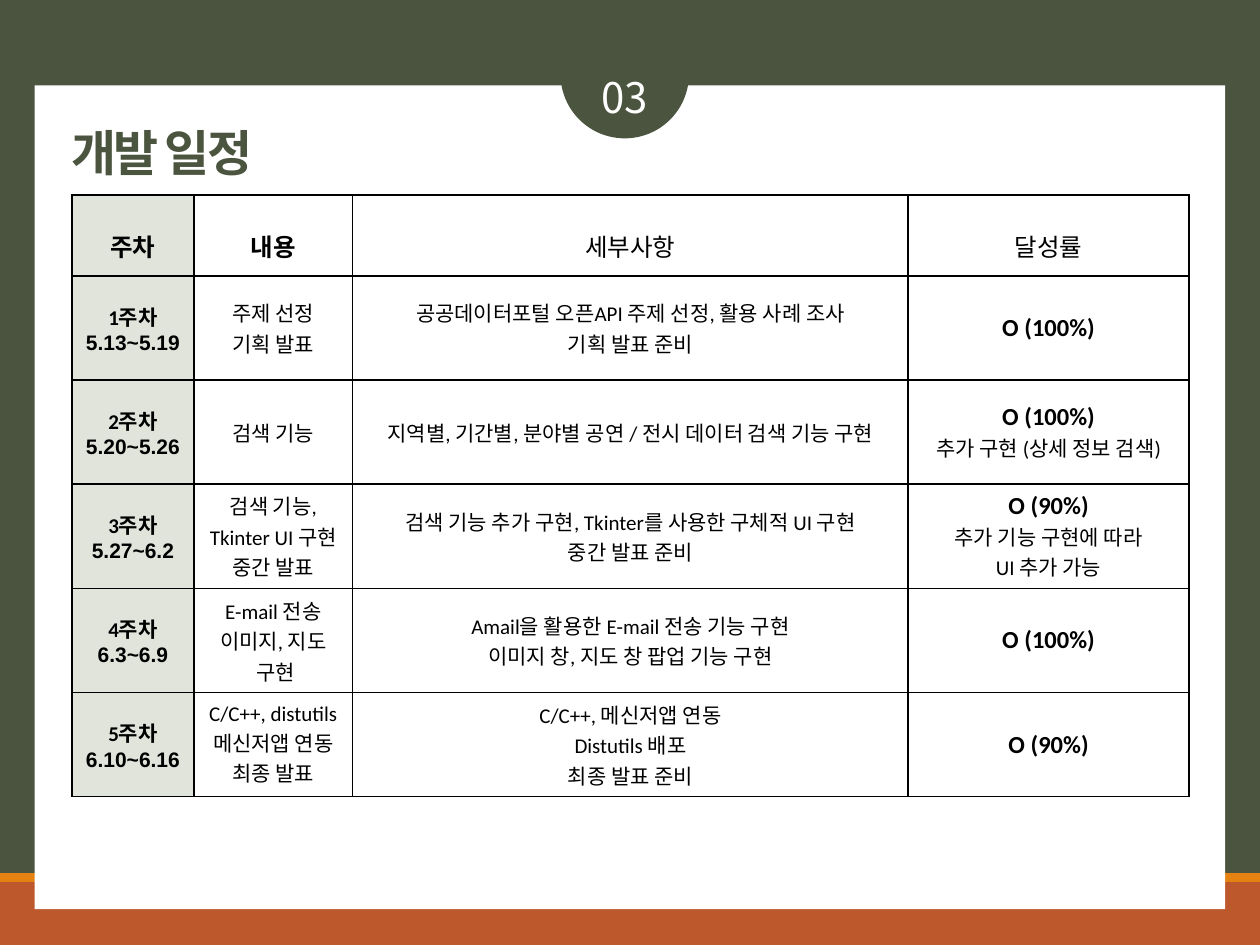
from lxml.etree import SubElement
from pptx import Presentation
from pptx.dml.color import RGBColor
from pptx.enum.shapes import MSO_SHAPE as Shape
from pptx.enum.text import MSO_AUTO_SIZE as AutoSize
from pptx.enum.text import MSO_VERTICAL_ANCHOR as Anchor
from pptx.enum.text import PP_PARAGRAPH_ALIGNMENT as Align
from pptx.oxml.ns import qn
from pptx.util import Cm, Pt

OLIVE = RGBColor(0x4A, 0x54, 0x3E)
RUST = RGBColor(0xBD, 0x58, 0x2C)
AMBER = RGBColor(0xE4, 0x83, 0x12)
SAGE = RGBColor(0xE0, 0xE4, 0xDB)
WHITE = RGBColor(0xFF, 0xFF, 0xFF)
BLACK = RGBColor(0x00, 0x00, 0x00)
KOREAN_FONT = "Noto Sans CJK KR"

# Text formats
BODY = {"name": "Calibri", "size": Pt(12), "bold": False}
WEEK = {**BODY, "bold": True}
DATES = {**WEEK, "name": "Arial"}
RATE = {**WEEK, "size": Pt(14)}
HEAD_BOLD = RATE
HEAD_PLAIN = {"name": "Arial", "size": Pt(14), "bold": False}
TITLE = {"name": "Arial", "size": Pt(28), "bold": True}
NUMBER = {"name": KOREAN_FONT, "size": Pt(24), "bold": False}

# For each column: format of the first line, format of the following lines
COLUMN_FORMATS = [(WEEK, DATES), (BODY, BODY), (BODY, BODY), (RATE, BODY)]
COLUMN_WIDTHS = [2.46, 3.2, 11.2, 5.66]
ROW_HEIGHTS = [1.63] + [2.1] * 5

HEADER = [("주차", HEAD_BOLD), ("내용", HEAD_BOLD),
          ("세부사항", HEAD_PLAIN), ("달성률", HEAD_PLAIN)]
SCHEDULE = [
    ["1주차\n5.13~5.19", "주제 선정\n기획 발표",
     "공공데이터포털 오픈API 주제 선정, 활용 사례 조사\n기획 발표 준비", "O (100%)"],
    ["2주차\n5.20~5.26", "검색 기능",
     "지역별, 기간별, 분야별 공연 / 전시 데이터 검색 기능 구현",
     "O (100%)\n추가 구현 (상세 정보 검색)"],
    ["3주차\n5.27~6.2", "검색 기능, Tkinter UI 구현\n중간 발표",
     "검색 기능 추가 구현, Tkinter를 사용한 구체적 UI 구현\n중간 발표 준비",
     "O (90%)\n추가 기능 구현에 따라\nUI 추가 가능"],
    ["4주차\n6.3~6.9", "E-mail 전송\n이미지, 지도\n 구현",
     "Amail을 활용한 E-mail 전송 기능 구현\n이미지 창, 지도 창 팝업 기능 구현",
     "O (100%)"],
    ["5주차\n6.10~6.16", "C/C++, distutils 메신저앱 연동\n최종 발표",
     "C/C++, 메신저앱 연동\nDistutils 배포\n최종 발표 준비", "O (90%)"],
]


class SlideBuilder:
    def __init__(self, page):
        self.page = page

    def background(self, color):
        fill = self.page.background.fill
        fill.solid()
        fill.fore_color.rgb = color

    def shape(self, kind, left, top, width, height, color):
        shape = self.page.shapes.add_shape(
            kind, Cm(left), Cm(top), Cm(width), Cm(height))
        shape.shadow.inherit = False
        shape.fill.solid()
        shape.fill.fore_color.rgb = color
        shape.line.fill.background()

    def span(self, para, text, values, color, align):
        para.alignment = align
        span = para.add_run()
        span.text = text
        for name, value in values.items():
            setattr(span.font, name, value)
        span.font.color.rgb = color
        SubElement(span.font._element, qn("a:ea"), typeface=KOREAN_FONT)
        return span

    def text(self, left, top, width, height, text, values, color, align, tracking=0):
        box = self.page.shapes.add_textbox(Cm(left), Cm(top), Cm(width), Cm(height))
        frame = box.text_frame
        frame.word_wrap = True
        frame.auto_size = AutoSize.SHAPE_TO_FIT_TEXT
        span = self.span(frame.paragraphs[0], text, values, color, align)
        if tracking:
            span.font._element.set("spc", str(tracking))

    def borders(self, cell):
        properties = cell._tc.get_or_add_tcPr()
        for index, side in enumerate(("lnL", "lnR", "lnT", "lnB")):
            line = properties.makeelement(qn(f"a:{side}"), {"w": str(Pt(1))})
            fill = SubElement(line, qn("a:solidFill"))
            SubElement(fill, qn("a:srgbClr"), val=str(BLACK))
            properties.insert(index, line)

    def cell(self, cell, lines, fill=None, spacing=None):
        layout = {"vertical_anchor": Anchor.MIDDLE,
                  "margin_left": Cm(0.13), "margin_right": Cm(0.13),
                  "margin_top": Cm(0.03), "margin_bottom": Cm(0.03)}
        for name, value in layout.items():
            setattr(cell, name, value)
        if fill is None:
            cell.fill.background()
        else:
            cell.fill.solid()
            cell.fill.fore_color.rgb = fill
        self.borders(cell)
        frame = cell.text_frame
        for index, (text, values) in enumerate(lines):
            para = frame.add_paragraph() if index else frame.paragraphs[0]
            para.line_spacing = spacing
            self.span(para, text, values, BLACK, Align.CENTER)

    def schedule(self, left, top):
        table = self.page.shapes.add_table(
            len(ROW_HEIGHTS), len(COLUMN_WIDTHS), Cm(left), Cm(top),
            Cm(sum(COLUMN_WIDTHS)), Cm(sum(ROW_HEIGHTS))).table
        for column, width in zip(table.columns, COLUMN_WIDTHS):
            column.width = Cm(width)
        for row, height in zip(table.rows, ROW_HEIGHTS):
            row.height = Cm(height)
        fills = [SAGE, None, None, None]
        for index, line in enumerate(HEADER):
            self.cell(table.cell(0, index), [line], fills[index], spacing=1.6)
        for row, entries in enumerate(SCHEDULE, start=1):
            for column, entry in enumerate(entries):
                first, rest = COLUMN_FORMATS[column]
                lines = [(text, rest if index else first)
                         for index, text in enumerate(entry.split("\n"))]
                self.cell(table.cell(row, column), lines, fills[column])


def main():
    deck = Presentation()
    deck.slide_width, deck.slide_height = Cm(25.4), Cm(19.05)
    builder = SlideBuilder(deck.slides.add_slide(deck.slide_layouts[6]))

    # Backdrop and footer bands
    builder.background(OLIVE)
    builder.shape(Shape.RECTANGLE, 0, 17.78, 25.4, 1.27, RUST)
    builder.shape(Shape.RECTANGLE, 0, 17.6, 25.4, 0.18, AMBER)

    # White panel with the section number
    builder.shape(Shape.RECTANGLE, 0.7, 1.72, 24, 16.61, WHITE)
    builder.shape(Shape.OVAL, 11.3, 0.2, 2.59, 2.59, OLIVE)
    builder.text(11.1, 1.32, 3, 1.27, "03", NUMBER, WHITE, Align.CENTER)

    # Schedule and title
    builder.schedule(1.45, 3.93)
    builder.text(1.19, 2.34, 6.91, 1.45, "개발 일정", TITLE, OLIVE, Align.LEFT,
                 tracking=-150)

    deck.save("out.pptx")


if __name__ == "__main__":
    main()
